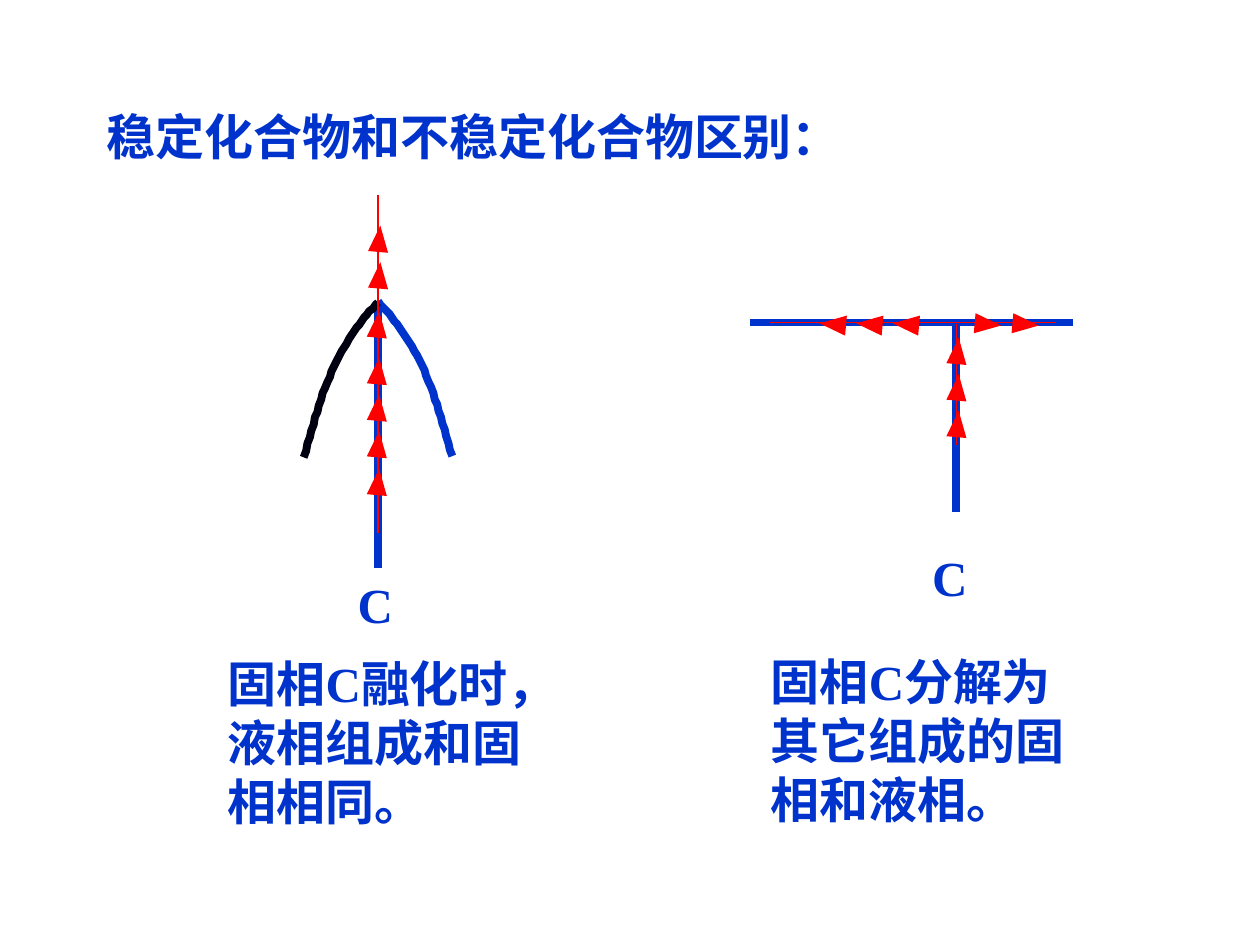
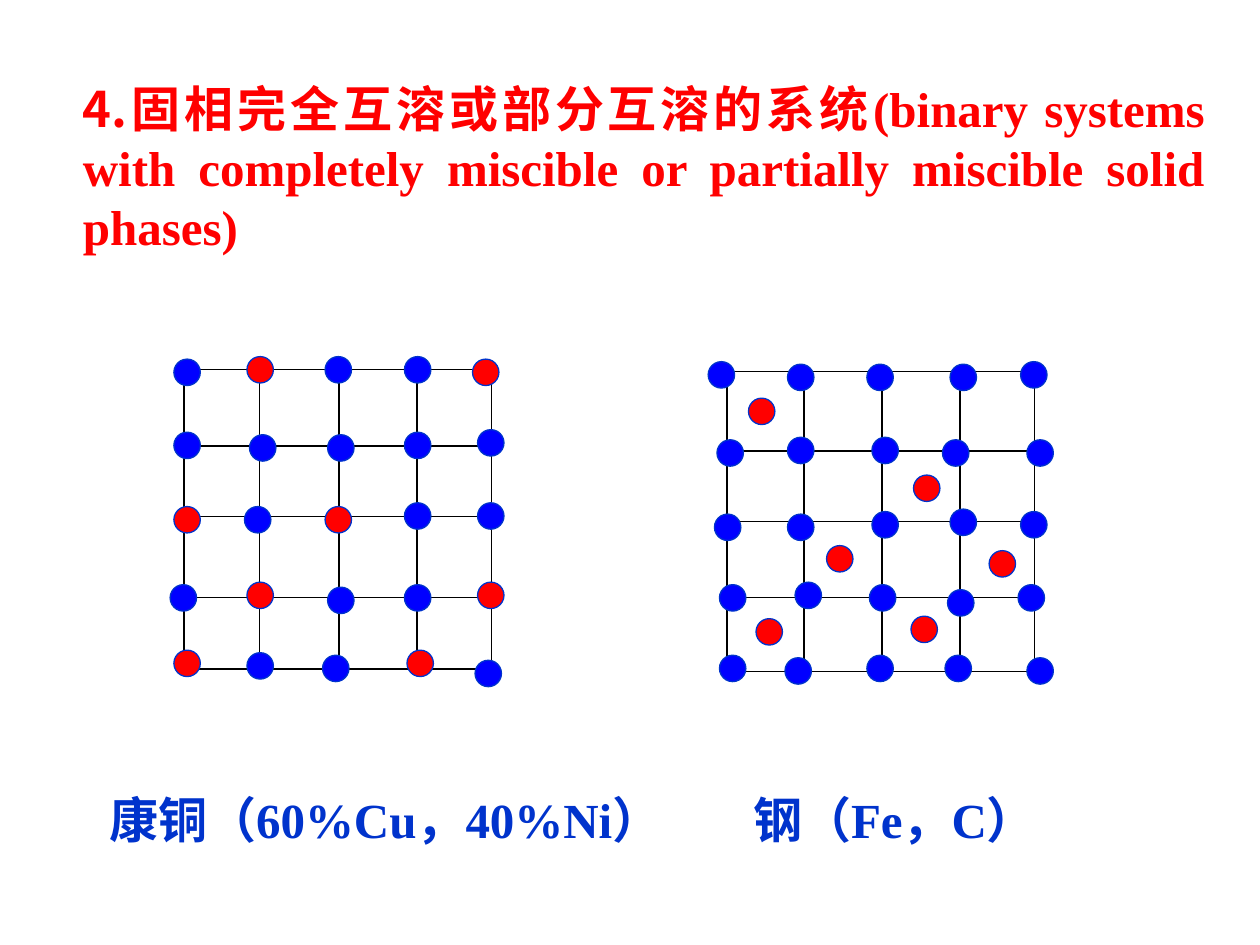
from dataclasses import dataclass
from lxml import etree
from pptx import Presentation
from pptx.dml.color import RGBColor
from pptx.enum.lang import MSO_LANGUAGE_ID
from pptx.enum.shapes import MSO_CONNECTOR, MSO_SHAPE
from pptx.enum.text import MSO_ANCHOR, PP_ALIGN
from pptx.oxml.ns import qn
from pptx.util import Inches, Pt

RECT, OVAL, TRI = MSO_SHAPE.RECTANGLE, MSO_SHAPE.OVAL, MSO_SHAPE.ISOSCELES_TRIANGLE
STRAIGHT = MSO_CONNECTOR.STRAIGHT
TOP, MID = MSO_ANCHOR.TOP, MSO_ANCHOR.MIDDLE
LEFT, FULL = PP_ALIGN.LEFT, PP_ALIGN.JUSTIFY
CHINESE = MSO_LANGUAGE_ID.SIMPLIFIED_CHINESE

# The slide is a fine grid of 1000 columns and 750 rows
COLS, ROWS = 1000, 750
WIDE, HIGH = Inches(10), Inches(7.5)
CELL = WIDE // COLS

HEX = {"ink": "0033CC", "red": "FF0000", "blue": "0000FF",
       "black": "000000", "dark": "000010", "white": "FFFFFF"}
SERIF, SANS = "Times New Roman", "Noto Sans CJK SC"
FORMAT = {"size": Pt(28), "bold": True, "language_id": CHINESE}
THICK, THIN = 4.5, 0.75
ATOM = 21
TIP_W, TIP_H, TILT = 16, 21, 5

Point = tuple[float, float]


@dataclass
class Label:
    """A text box: place on the grid and (words, font) runs."""
    x: int
    y: int
    w: int
    h: int
    runs: list[tuple[str, str]]
    hue: str = "ink"
    align: PP_ALIGN = LEFT
    anchor: MSO_ANCHOR = TOP


@dataclass
class Tips:
    """Arrow tips in one direction, at their left-top places."""
    turn: int
    spots: list[Point]


@dataclass
class Lattice:
    """A square lattice; kinds has one letter per atom, R or B."""
    x: int
    y: int
    across: list[int]
    down: list[int]
    kinds: list[str]
    sites: list[list[Point]]
    extra: list[Point]


def rgb(hue: str) -> RGBColor:
    return RGBColor.from_string(HEX[hue])


def stroke(item, hue: str, width: float) -> None:
    item.line.color.rgb = rgb(hue)
    item.line.width = Pt(width)


def write(slide, label: Label) -> None:
    box = slide.shapes.add_textbox(*(CELL * n for n in (label.x, label.y, label.w, label.h)))
    frame = box.text_frame
    frame.word_wrap = True
    frame.vertical_anchor = label.anchor
    para = frame.paragraphs[0]
    para.alignment = label.align
    for words, face in label.runs:
        run = para.add_run()
        run.text = words
        for key, value in FORMAT.items():
            setattr(run.font, key, value)
        run.font.name = face
        run.font.color.rgb = rgb(label.hue)
        latin = run.font._element.find(qn("a:latin"))
        east = etree.Element(qn("a:ea"), typeface=SANS)
        latin.addnext(east)


def rule(slide, start: Point, end: Point, hue: str, width: float) -> None:
    line = slide.shapes.add_connector(STRAIGHT, *(int(CELL * n) for n in (*start, *end)))
    stroke(line, hue, width)
    etree.SubElement(line._element.spPr, qn("a:effectLst"))


def solid(slide, kind: MSO_SHAPE, x: float, y: float, w: float, h: float,
          fill: str, edge: str = "", turn: int = 0) -> None:
    shape = slide.shapes.add_shape(kind, *(int(CELL * n) for n in (x, y, w, h)))
    shape.shadow.inherit = False
    shape.fill.solid()
    shape.fill.fore_color.rgb = rgb(fill)
    shape.rotation = turn
    if edge:
        stroke(shape, edge, THIN)
    else:
        shape.line.fill.background()


def bend(knots: list[Point], steps: int = 16) -> list[Point]:
    """Points along a chain of cubic curves."""
    out = [knots[0]]
    for k in range(0, len(knots) - 1, 3):
        part = knots[k:k + 4]
        for n in range(1, steps + 1):
            t = n / steps
            mix = ((1 - t) ** 3, 3 * t * (1 - t) ** 2, 3 * t * t * (1 - t), t ** 3)
            out.append((sum(m * p[0] for m, p in zip(mix, part)),
                        sum(m * p[1] for m, p in zip(mix, part))))
    return out


def curve(slide, knots: list[Point], hue: str) -> None:
    pts = bend(knots)
    pen = slide.shapes.build_freeform(*pts[0], scale=CELL)
    pen.add_line_segments(pts[1:], close=False)
    shape = pen.convert_to_shape()
    shape.shadow.inherit = False
    shape.fill.background()
    stroke(shape, hue, THICK)


def point(slide, tips: Tips) -> None:
    for x, y in tips.spots:
        solid(slide, TRI, x, y, TIP_W, TIP_H, "red", turn=tips.turn + TILT)


def atom(slide, spot: Point, fill: str) -> None:
    solid(slide, OVAL, *spot, ATOM, ATOM, fill, "ink")


def weave(slide, net: Lattice) -> None:
    w, h = 244, 238
    solid(slide, RECT, net.x, net.y, w, h, "white", "black")
    for y in net.down:
        rule(slide, (net.x, y), (net.x + w, y), "black", THIN)
    for x in net.across:
        rule(slide, (x, net.y), (x, net.y + h), "black", THIN)
    for kinds, row in zip(net.kinds, net.sites):
        for kind, spot in zip(kinds, row):
            atom(slide, spot, "red" if kind == "R" else "blue")
    for spot in net.extra:
        atom(slide, spot, "red")


deck = Presentation()
deck.slide_width, deck.slide_height = WIDE, HIGH
blank = deck.slide_layouts[6]

# Slide 1: stable and unstable compounds
first = deck.slides.add_slide(blank)
for label in (
    Label(75, 80, 642, 57, [("稳定化合物和不稳定化合物区别:".replace(":", "："), SERIF)]),
    Label(171, 514, 272, 151, [("固相C融化时,液相组成和固相相同。".replace(",", "，"), SERIF)]),
    Label(602, 512, 272, 152, [("固相C分解为其它组成的固相和液相。", SERIF)]),
    Label(274, 451, 59, 57, [("C", SERIF)]),
    Label(730, 430, 59, 57, [("C", SERIF)]),
):
    write(first, label)

# Stable: the solid melts at the peak of the liquid curve
rule(first, (300, 241), (300, 451), "ink", THICK)
curve(first, [(300, 239), (312, 253), (323, 266), (333, 286),
              (343, 307), (351, 334), (359, 362)], "ink")
curve(first, [(300, 240), (288, 253), (277, 266), (267, 287),
              (257, 307), (249, 334), (241, 363)], "dark")
point(first, Tips(0, [(292, y) for y in (372, 342, 313, 284, 247)]
                  + [(293, y) for y in (208, 179)]))
rule(first, (300, 155), (300, 423), "red", THIN)

# Unstable: the solid splits at the flat line
rule(first, (595, 256), (852, 256), "ink", THICK)
rule(first, (759, 257), (759, 406), "ink", THICK)
rule(first, (759, 353), (759, 257), "red", THIN)
rule(first, (611, 256), (838, 256), "red", THIN)
for tips in (Tips(0, [(752, 268 + 29 * n) for n in range(3)]),
             Tips(90, [(776 + 30 * n, 247) for n in range(2)]),
             Tips(270, [(653 + 29 * n, 247) for n in range(3)])):
    point(first, tips)

# Slide 2: solid solutions, by swapped atoms and by atoms in the gaps
second = deck.slides.add_slide(blank)
weave(second, Lattice(
    146, 293, [206, 269, 331], [354, 410, 474],
    ["BRBBR", "BBBBB", "RBRBB", "BRBBR", "RBBRB"],
    [[(138, 285), (196, 283), (258, 283), (321, 283), (375, 285)],
     [(138, 343), (198, 345), (260, 345), (321, 343), (379, 341)],
     [(138, 402), (194, 402), (258, 402), (321, 399), (379, 399)],
     [(135, 464), (196, 462), (260, 466), (321, 464), (379, 462)],
     [(138, 516), (196, 518), (256, 520), (323, 516), (377, 524)]],
    []))
weave(second, Lattice(
    577, 295, [638, 700, 762], [358, 414, 474],
    ["BBBBB"] * 5,
    [[(562, 287), (625, 289), (688, 289), (754, 289), (810, 287)],
     [(569, 349), (625, 347), (692, 347), (748, 349), (815, 349)],
     [(567, 408), (625, 408), (692, 406), (754, 404), (810, 406)],
     [(571, 464), (631, 462), (690, 464), (752, 468), (808, 464)],
     [(571, 520), (623, 522), (688, 520), (750, 520), (815, 522)]],
    [(594, 316), (725, 377), (656, 433), (600, 491), (785, 437), (723, 489)]))
for label in (
    Label(77, 622, 460, 57, [("康铜（60%Cu，40%Ni）", SERIF)]),
    Label(588, 622, 256, 57, [("钢（Fe，C）", SERIF)]),
    Label(56, 57, 910, 151,
          [("4.固相完全互溶或部分互溶的系统", SANS),
           ("(binary systems with completely miscible or partially miscible solid phases)", SERIF)],
          "red", FULL, MID),
):
    write(second, label)

deck.save("out.pptx")
